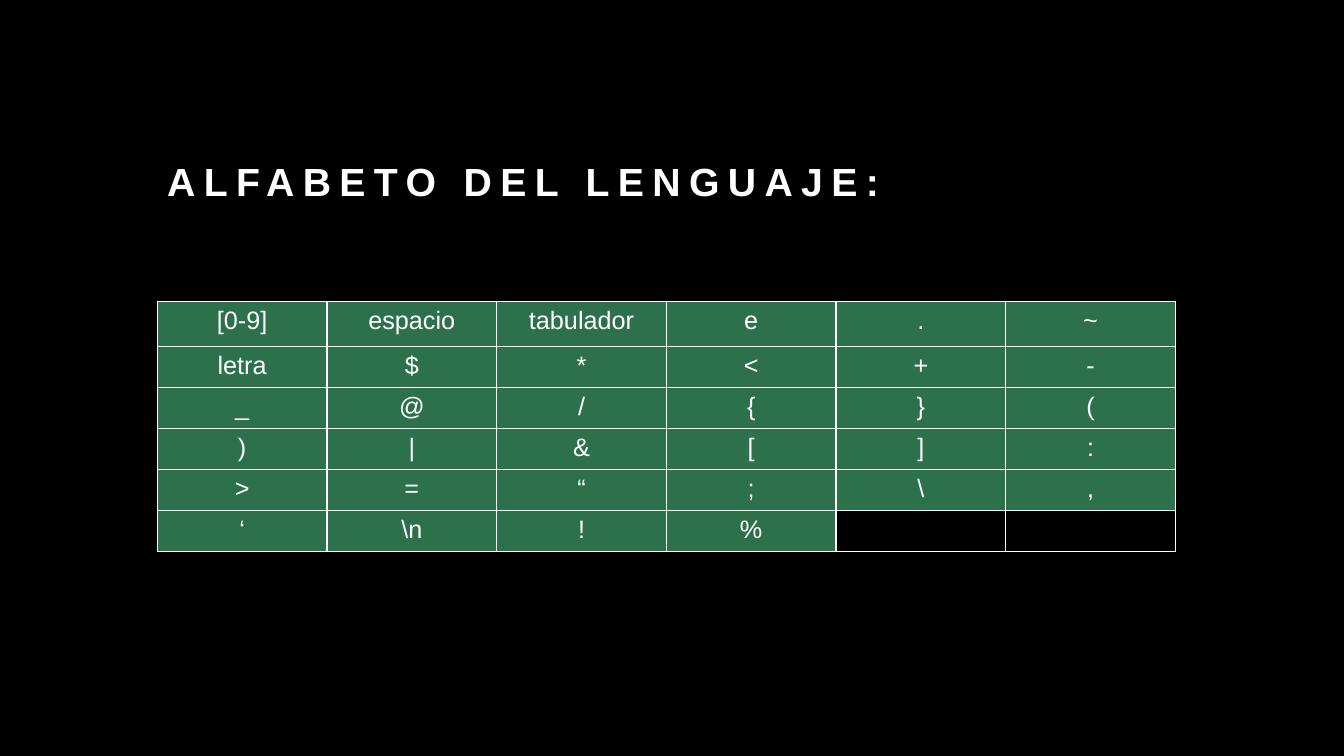
from pptx import Presentation
from pptx.dml.color import RGBColor
from pptx.enum.text import MSO_ANCHOR, PP_ALIGN
from pptx.oxml.ns import qn
from pptx.util import Inches, Pt
from lxml.etree import SubElement

COLORS = {"background": "000000", "text": "FFFFFF", "cell": "2D714C"}
FONT = "Arial"
SYMBOLS = [
    ["[0-9]", "espacio", "tabulador", "e", ".", "~"],
    ["letra", "$", "*", "<", "+", "-"],
    ["_", "@", "/", "{", "}", "("],
    [")", "|", "&", "[", "]", ":"],
    [">", "=", "“", ";", r"\", "[:1], ","],
    ["‘", r"\n", "!", "%", "", ""],
]


def color(name):
    """Return the palette colour with this name."""
    return RGBColor.from_string(COLORS[name])


def style_font(font, size, bold=False):
    """Apply the slide's typeface and text colour."""
    font.name, font.size, font.bold = FONT, Pt(size), bold
    font.color.rgb = color("text")


def add_title(page, text, left, top, width, height):
    """Add the widely spaced title, resting on the bottom of its box."""
    box = page.shapes.add_textbox(left, top, width, height)
    frame = box.text_frame
    frame.word_wrap = True
    frame.vertical_anchor = MSO_ANCHOR.BOTTOM
    frame.text = text
    para = frame.paragraphs[0]
    para.line_spacing = 1.2
    span = para.runs[0]
    style_font(span.font, 28, bold=True)
    span.font._element.set("spc", "600")


def add_borders(cell):
    """Draw a thin line on all four sides of a cell."""
    properties = cell._tc.get_or_add_tcPr()
    for index, side in enumerate(("lnL", "lnR", "lnT", "lnB")):
        line = properties.makeelement(qn(f"a:{side}"), {"w": str(Pt(1))})
        fill = SubElement(line, qn("a:solidFill"))
        SubElement(fill, qn("a:srgbClr"), val=COLORS["text"])
        properties.insert(index, line)


def style_cell(cell, symbol):
    """Fill one cell and centre its symbol."""
    cell.fill.solid()
    cell.fill.fore_color.rgb = color("cell" if symbol else "background")
    add_borders(cell)
    cell.text = symbol
    para = cell.text_frame.paragraphs[0]
    para.alignment = PP_ALIGN.CENTER
    for span in para.runs:
        style_font(span.font, 18)


def add_alphabet(page, left, top, width, height):
    """Add the symbol table with equal columns and a taller first row."""
    row_count, column_count = len(SYMBOLS), len(SYMBOLS[0])
    table = page.shapes.add_table(
        row_count, column_count, left, top, width, height
    ).table
    table.first_row = table.horz_banding = False
    first_height = Inches(0.45)
    other_height = (height - first_height) // (row_count - 1)
    for index, row in enumerate(table.rows):
        row.height = other_height if index else first_height
        for cell, symbol in zip(row.cells, SYMBOLS[index]):
            style_cell(cell, symbol)


def main():
    """Build and save the slide."""
    deck = Presentation()
    deck.slide_width, deck.slide_height = Inches(13.33), Inches(7.5)
    page = deck.slides.add_slide(deck.slide_layouts[6])
    page.background.fill.solid()
    page.background.fill.fore_color.rgb = color("background")
    left, width = Inches(1.56), Inches(10.1)
    add_title(page, "ALFABETO DEL LENGUAJE:", left, Inches(1.14), width, Inches(0.94))
    add_alphabet(page, left, Inches(2.99), width, Inches(2.48))
    deck.save("out.pptx")


if __name__ == "__main__":
    main()
